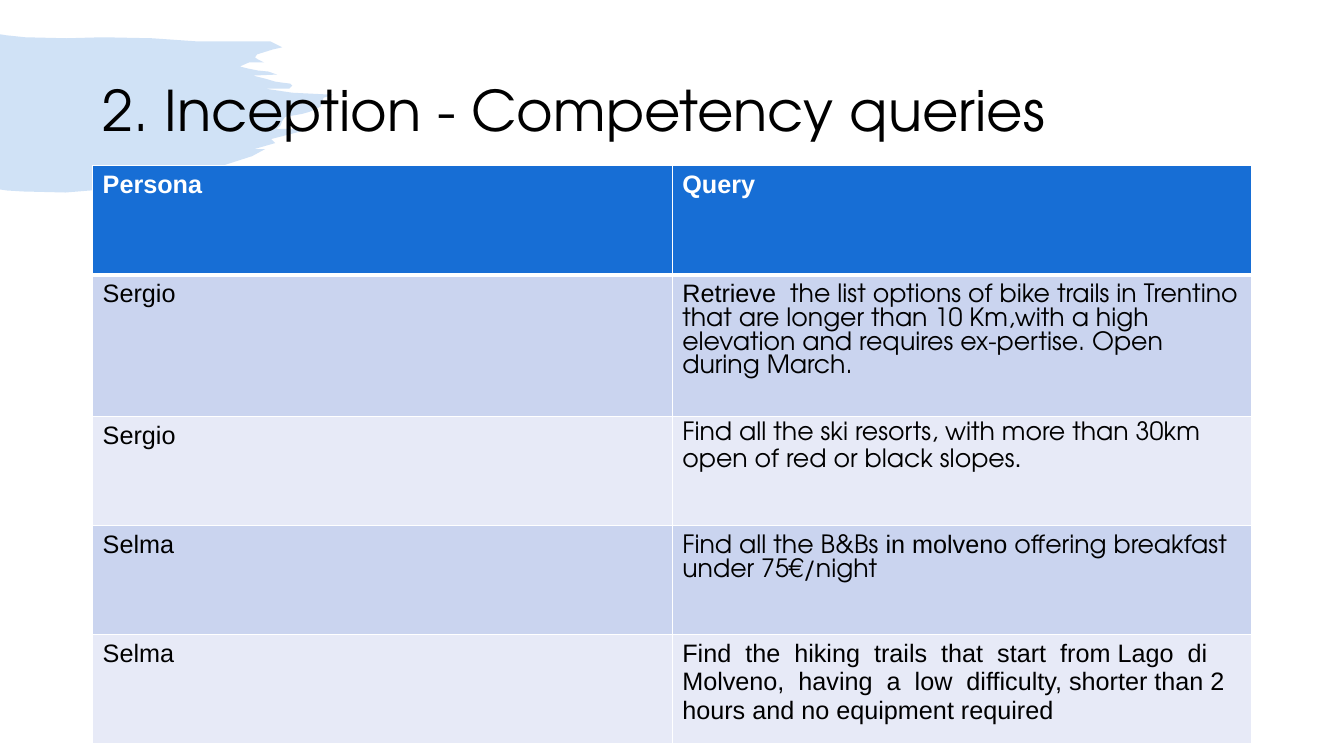
"""Build the competency queries slide: title, brush stroke and persona table."""
from dataclasses import dataclass

from lxml.etree import SubElement
from pptx import Presentation
from pptx.dml.color import RGBColor
from pptx.enum.text import MSO_ANCHOR, PP_ALIGN
from pptx.oxml.ns import qn
from pptx.util import Pt


@dataclass(frozen=True)
class Theme:
    blue: str = "176ED5"
    band: str = "CAD4EF"
    pale: str = "E7EAF7"
    white: str = "FFFFFF"
    black: str = "000000"
    title: int = 40
    body: int = 18
    sans: str = "Arial"
    display: str = "TeX Gyre Adventor"


T = Theme()


def add_text(p, text, size=T.body, font=T.sans, color=T.black, bold=False):
    r = p.add_run()
    r.text = text
    r.font.size = Pt(size)
    r.font.name = font
    r.font.bold = bold
    r.font.color.rgb = RGBColor.from_string(color)


def add_border(cell, side, width):
    ln = SubElement(cell._tc.get_or_add_tcPr(), qn(f"a:ln{side}"), w=str(Pt(width)))
    SubElement(SubElement(ln, qn("a:solidFill")), qn("a:srgbClr"), val=T.white)


prs = Presentation()
prs.slide_width, prs.slide_height = Pt(960), Pt(540)
s = prs.slides.add_slide(prs.slide_layouts[5])

title = s.shapes.title
title.left, title.top, title.width, title.height = Pt(66.2), Pt(28.8), Pt(828), Pt(104.4)
tf = title.text_frame
tf.word_wrap = True
tf.vertical_anchor = MSO_ANCHOR.MIDDLE
p = tf.paragraphs[0]
p.alignment = PP_ALIGN.LEFT
p.line_spacing = 0.9
add_text(p, "2. Inception - Competency queries", size=T.title, font=T.display)

outline = [
    (0, 34), (6, 35), (25, 37), (66, 38), (102, 37), (151, 38), (194, 41), (248, 41),
    (268, 41), (280, 47), (271, 49), (255, 54), (253, 57), (256, 59), (262, 62),
    (247, 62), (238, 66), (246, 68), (256, 70), (266, 71), (275, 74), (251, 75),
    (263, 78), (273, 81), (280, 82), (288, 83), (290, 85), (287, 88), (284, 88),
    (263, 88), (290, 92), (330, 94), (321, 97), (318, 106), (307, 111), (300, 113),
    (283, 116), (280, 120), (278, 125), (274, 128), (308, 128), (269, 138),
    (273, 142), (252, 148), (263, 148), (250, 155), (197, 172), (102, 188),
    (65, 191), (23, 190), (7, 189), (0, 188),
]
fb = s.shapes.build_freeform(*outline[0], scale=Pt(0.72))
fb.add_line_segments(outline[1:], close=True)
brush = fb.convert_to_shape()
brush.shadow.inherit = False
brush.line.fill.background()
brush.fill.solid()
brush.fill.fore_color.rgb = RGBColor.from_string(T.blue)
clr = brush.element.spPr.find(qn("a:solidFill")).find(qn("a:srgbClr"))
SubElement(clr, qn("a:alpha"), val="20000")
title.element.addprevious(brush.element)

rows = [
    ("Persona", [("Query", T.sans)]),
    ("Sergio", [
        ("Retrieve ", T.sans),
        (" the list options of bike trails in Trentino that are longer than 10 Km,with "
         "a high elevation and requires ex-pertise. Open during March.", T.display),
    ]),
    ("Sergio", [
        ("Find all the ski resorts, with more than 30km open of red or black slopes",
         T.display),
        (".", T.sans),
    ]),
    ("Selma", [
        ("Find all the B&Bs ", T.display),
        ("in molveno", T.sans),
        (" offering breakfast under 75€/night", T.display),
    ]),
    ("Selma", [
        ("Find  the  hiking  trails  that  start  from Lago  di  Molveno,  having  a  low  "
         "difficulty, shorter than 2 hours and no equipment required", T.sans),
    ]),
]
heights = [78, 101, 78, 78, 78]
table = s.shapes.add_table(
    len(rows), 2, Pt(66.2), Pt(118.4), Pt(828), Pt(sum(heights))).table
for col in table.columns:
    col.width = Pt(414)

for i, (persona, query) in enumerate(rows):
    table.rows[i].height = Pt(heights[i])
    header = i == 0
    fill = T.blue if header else T.band if i % 2 else T.pale
    for j, runs in enumerate([[(persona, T.sans)], query]):
        cell = table.cell(i, j)
        widths = {"L": 1, "R": 1, "T": 3 if i == 1 else 1, "B": 3 if header else 1}
        for side, width in widths.items():
            add_border(cell, side, width)
        cell.fill.solid()
        cell.fill.fore_color.rgb = RGBColor.from_string(fill)
        for text, font in runs:
            add_text(cell.text_frame.paragraphs[0], text, font=font,
                     color=T.white if header else T.black, bold=header)

prs.save("out.pptx")
